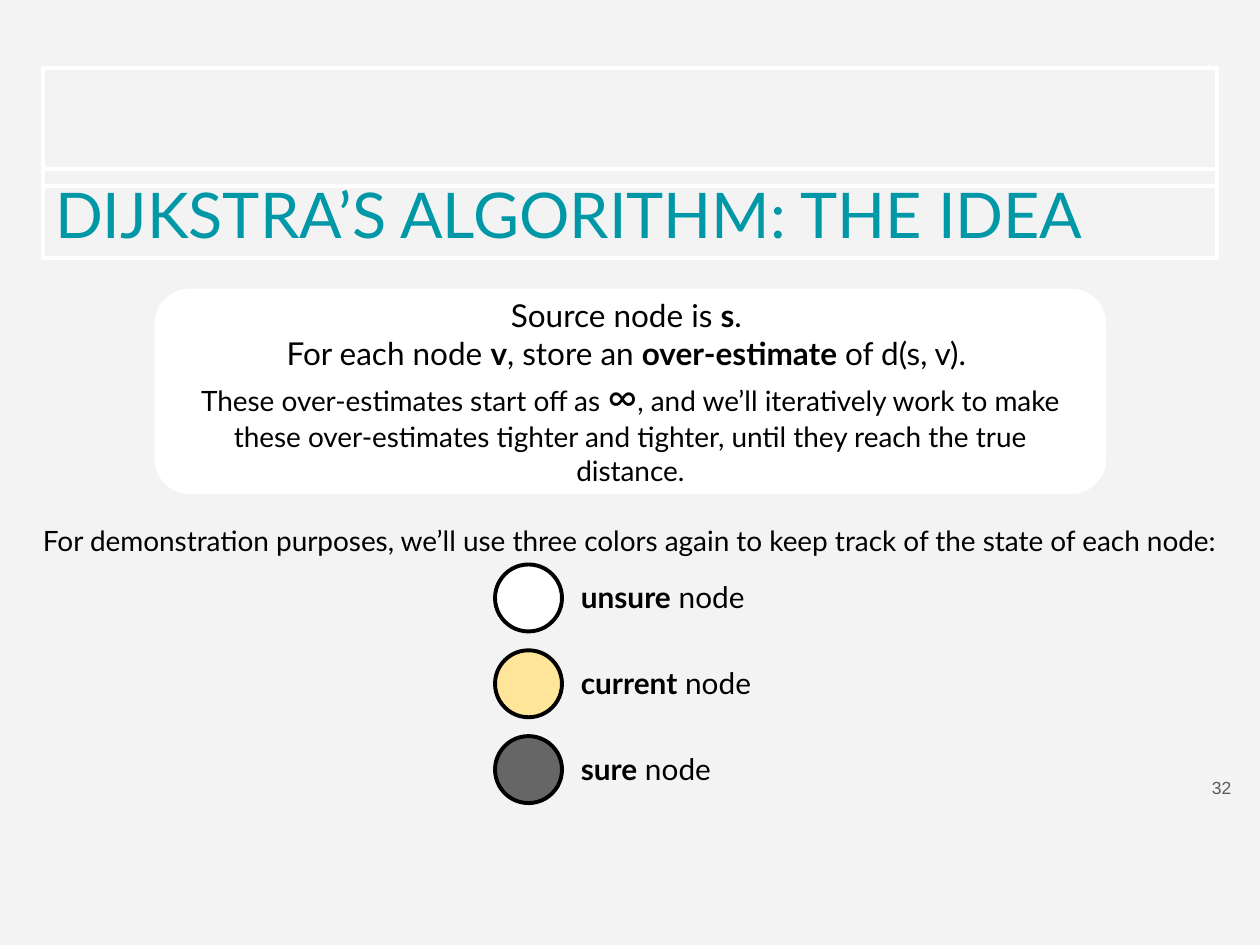
"""Build the slide that introduces the idea of Dijkstra's algorithm."""
import pptx
import pptx.dml.color
import pptx.enum.shapes
import pptx.enum.text
import pptx.util

Cm = pptx.util.Cm
Pt = pptx.util.Pt
SHAPE = pptx.enum.shapes.MSO_SHAPE
ALIGN = pptx.enum.text.PP_ALIGN

COLORS = {
    "background": "F3F3F3",
    "white": "FFFFFF",
    "black": "000000",
    "title": "0097A7",
    "number": "595959",
    "current": "FFE599",
    "sure": "666666",
}
NODE_STATES = [("unsure", "white"), ("current", "current"), ("sure", "sure")]


def rgb(name):
    return pptx.dml.color.RGBColor.from_string(COLORS[name])


def add_shape(slide, kind, box, fill=None, line=None, radius=None):
    sp = slide.shapes.add_shape(kind, *map(Cm, box))
    sp.shadow.inherit = False
    if radius is not None:
        sp.adjustments[0] = radius
    if fill:
        sp.fill.solid()
        sp.fill.fore_color.rgb = rgb(fill)
    else:
        sp.fill.background()
    if line:
        sp.line.color.rgb = rgb(line)
        sp.line.width = Pt(2.25)
    else:
        sp.line.fill.background()
    return sp


def add_label(slide, box, text, **style):
    sp = slide.shapes.add_textbox(*map(Cm, box))
    set_text(sp, [text], **style)


def set_text(sp, paragraphs, size=16, color="black", font="Lato",
             align=ALIGN.LEFT, after=0):
    """Fill a shape with paragraphs of (text, bold, size) runs or plain strings."""
    tf = sp.text_frame
    tf.word_wrap = True
    tf.vertical_anchor = pptx.enum.text.MSO_ANCHOR.MIDDLE
    tf.margin_left = tf.margin_right = Cm(0.25)
    tf.margin_top = tf.margin_bottom = Cm(0.25)
    for i, runs in enumerate(paragraphs):
        p = tf.add_paragraph() if i else tf.paragraphs[0]
        p.alignment = align
        p.space_after = Pt(after)
        for run in [(runs,)] if isinstance(runs, str) else runs:
            text, bold, run_size = (*run, False, size)[:3] if len(run) < 3 else run
            if text == "\n":
                p.add_line_break()
                continue
            r = p.add_run()
            r.text = text
            r.font.name = font
            r.font.size = Pt(run_size if len(run) == 3 else size)
            r.font.bold = bold
            r.font.color.rgb = rgb(color)


def add_title(slide, text):
    add_shape(slide, SHAPE.RECTANGLE, (0.86, 1.37, 23.67, 2.39), line="white")
    sp = add_shape(slide, SHAPE.RECTANGLE, (0.86, 3.4, 23.67, 1.8), line="white")
    set_text(sp, [text], size=36, color="title")


def add_idea_card(slide):
    sp = add_shape(slide, SHAPE.ROUNDED_RECTANGLE, (3.12, 5.82, 19.18, 4.14),
                   fill="white", radius=0.17)
    set_text(sp, [
        [("Source node is ",), ("s", True), (". ",), ("\n",),
         ("For each node ",), ("v", True), (", store an ",),
         ("over-estimate", True), (" of d(s, v). ",)],
        [("These over-estimates start off as ", False, 16), ("∞", False, 23),
         (", and we’ll iteratively work to make these over-estimates tighter "
          "and tighter, until they reach the true distance.", False, 16)],
    ], size=18, align=ALIGN.CENTER)


def add_legend(slide):
    sp = add_shape(slide, SHAPE.ROUNDED_RECTANGLE, (0.51, 10.03, 24.38, 1.73),
                   radius=0.03)
    set_text(sp, ["For demonstration purposes, we’ll use three colors again to "
                  "keep track of the state of each node:"],
             align=ALIGN.CENTER, after=10)
    for i, (state, fill) in enumerate(NODE_STATES):
        top = 11.38 + 1.73 * i
        add_shape(slide, SHAPE.OVAL, (9.98, top, 1.35, 1.35), fill, "black")
        add_label(slide, (11.46, top - 0.08, 5.21, 1.45),
                  [(state, True), (" node",)], size=17)


def main():
    prs = pptx.Presentation()
    prs.slide_width, prs.slide_height = Cm(25.4), Cm(19.05)
    slide = prs.slides.add_slide(prs.slide_layouts[6])
    slide.background.fill.solid()
    slide.background.fill.fore_color.rgb = rgb("background")
    add_title(slide, "DIJKSTRA’S ALGORITHM: THE IDEA")
    add_idea_card(slide)
    add_legend(slide)
    add_label(slide, (23.55, 15.34, 1.52, 1.09), "32", size=10,
              color="number", font="Arial", align=ALIGN.RIGHT)
    prs.save("out.pptx")


if __name__ == "__main__":
    main()
